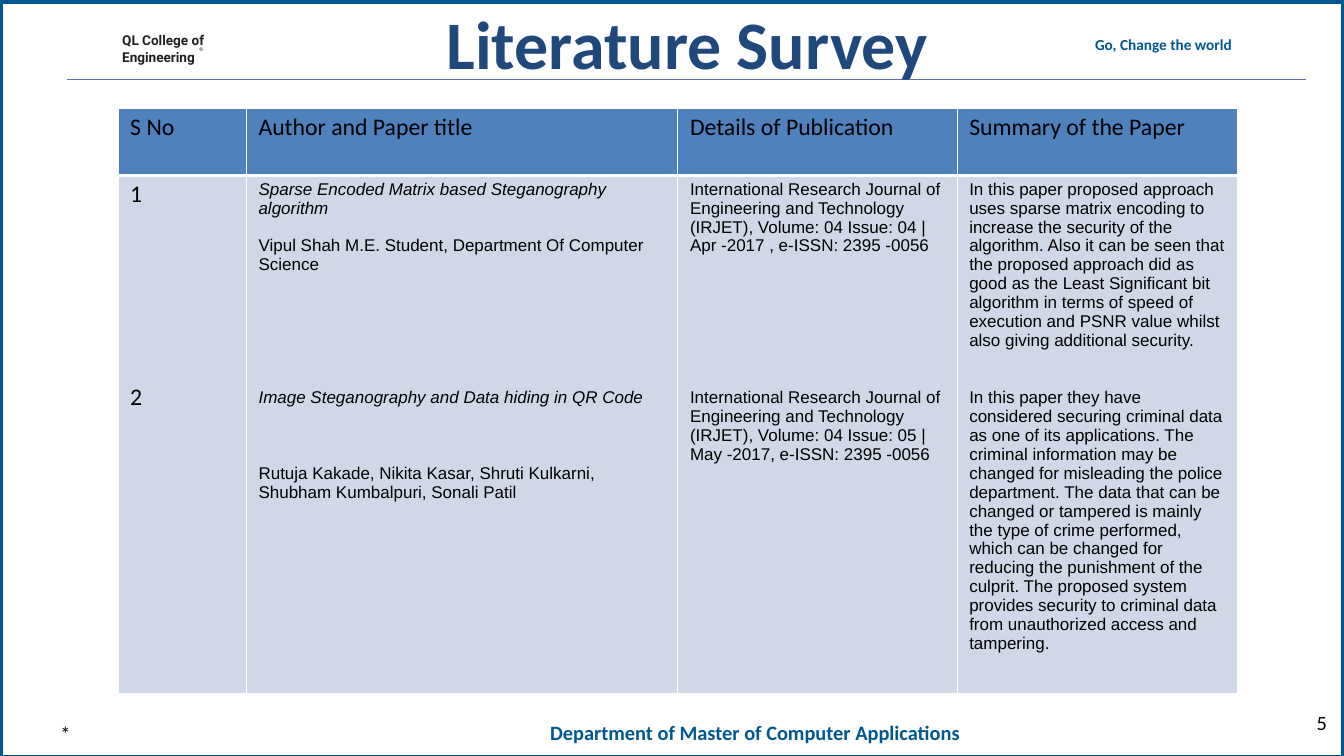
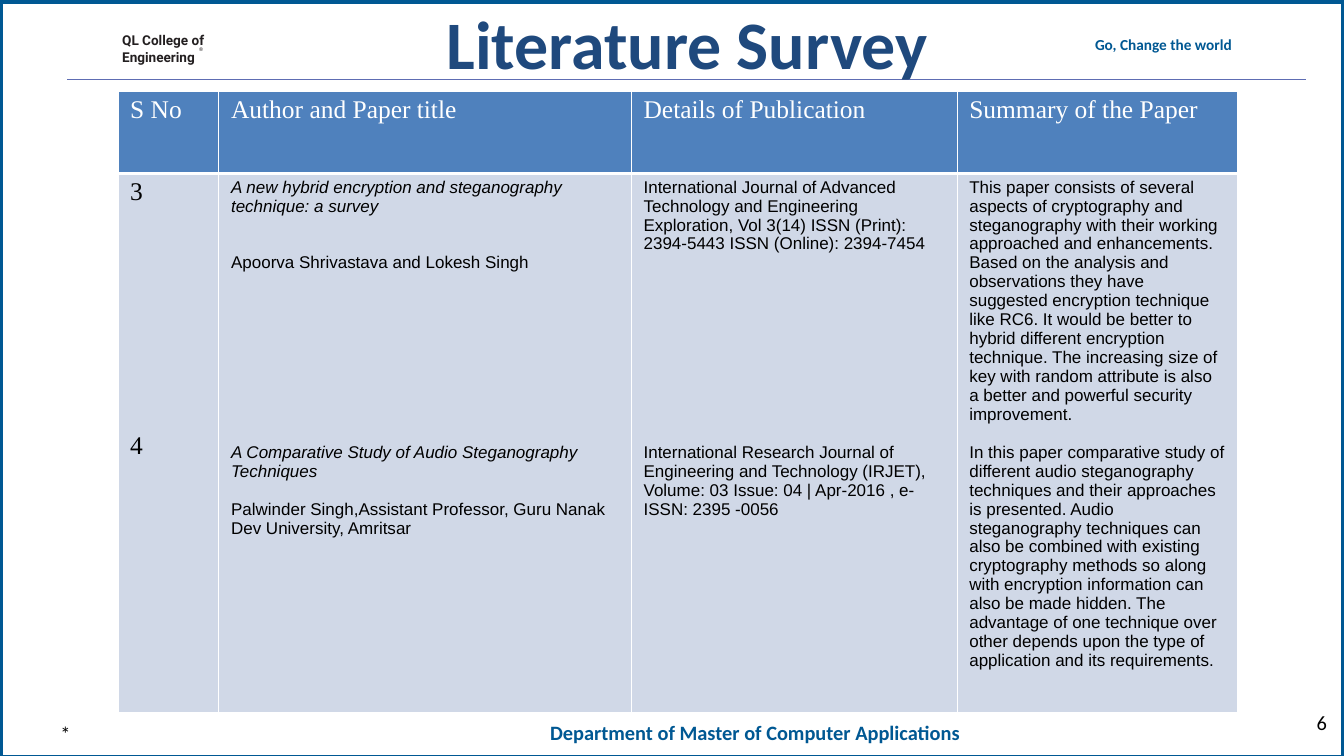
import pptx
import pptx.dml.color
import pptx.enum.shapes
import pptx.enum.text
import pptx.oxml
import pptx.oxml.ns
import pptx.util
import lxml.etree

Pt = pptx.util.Pt
ALIGN = pptx.enum.text.PP_ALIGN

WIDTH, HEIGHT = 1583.28, 890.64
BLUE, NAVY, INK = "005893", "1F497D", "231F20"
RULE, BLACK, WHITE = "5E6DB3", "000000", "FFFFFF"
HEADER_FILL, BODY_FILL = "4F81BD", "D0D8E7"
THIN, THICK = 0.96, 3
TABLE_LEFT, SUMMARY_WIDTH = 139, 329.76
BODY_FONT, BODY_SIZE = "Arial", 20
# Height of one line as a share of the font size
LINE_HEIGHT = {"Arial": 1.117, "Calibri": 1.22, "Times New Roman": 1.107}
HEADINGS = ["S No", "Author and Paper title", "Details of Publication",
            "Summary of the Paper"]


def rgb(value):
    return pptx.dml.color.RGBColor.from_string(value)


def set_font(paragraph, name, size, color, bold=False, italic=False):
    font = paragraph.font
    font.name, font.size = name, Pt(size)
    font.bold, font.italic = bold, italic
    font.color.rgb = rgb(color)


def set_borders(cell, top, bottom):
    """Draw white borders; top and bottom are widths in points."""
    properties = cell._tc.get_or_add_tcPr()
    sides = [("lnL", THIN), ("lnR", THIN), ("lnT", top), ("lnB", bottom)]
    for index, (side, width) in enumerate(sides):
        border = pptx.oxml.parse_xml(
            f'<a:{side} {pptx.oxml.ns.nsdecls("a")} w="{int(Pt(width))}">'
            f'<a:solidFill><a:srgbClr val="{WHITE}"/></a:solidFill></a:{side}>')
        properties.insert(index, border)


class Deck:
    """Holds the presentation, its style and the current slide."""

    def __init__(self):
        self.presentation = pptx.Presentation()
        self.presentation.slide_width = Pt(WIDTH)
        self.presentation.slide_height = Pt(HEIGHT)
        self.slide = None

    def text(self, left, top, width, height, lines, size, color=BLACK,
             font="Calibri", bold=False, align=ALIGN.LEFT, inset=0, spacing=None):
        box = self.slide.shapes.add_textbox(Pt(left), Pt(top), Pt(width), Pt(height))
        frame = box.text_frame
        frame.word_wrap = True
        frame.margin_left = frame.margin_right = frame.margin_bottom = 0
        frame.margin_top = Pt(inset)
        frame.text = lines
        for paragraph in frame.paragraphs:
            paragraph.alignment = align
            paragraph.line_spacing = spacing
            set_font(paragraph, font, size, color, bold)

    def border(self):
        shape = self.slide.shapes.add_shape(
            pptx.enum.shapes.MSO_SHAPE.RECTANGLE, 0, Pt(1.44), Pt(WIDTH), Pt(HEIGHT))
        shape.shadow.inherit = False
        shape.fill.solid()
        shape.fill.fore_color.rgb = rgb(WHITE)
        shape.line.color.rgb = rgb(BLUE)
        shape.line.width = Pt(6)

    def rule(self, left, right, y):
        line = self.slide.shapes.add_connector(
            pptx.enum.shapes.MSO_CONNECTOR.STRAIGHT, Pt(left), Pt(y), Pt(right), Pt(y))
        line.line.color.rgb = rgb(RULE)
        line.line.width = Pt(1.25)
        lxml.etree.SubElement(line._element.spPr, pptx.oxml.ns.qn("a:effectLst"))

    def new_slide(self, title, number):
        """Start a slide with the border, header and footer all slides share."""
        self.slide = self.presentation.slides.add_slide(
            self.presentation.slide_layouts[6])
        self.border()
        self.rule(79.2, 1538, 93.6)
        self.text(144, 34.6, 108, 39, "QL College of\nEngineering", 16, INK,
                  "Roboto", True, inset=1.4, spacing=1.06)
        self.text(234.5, 55, 12, 8, "®", 6, INK, "Roboto")
        self.text(1290, 40.3, 218, 23, "Go, Change the world", 18, BLUE,
                  bold=True, inset=1)
        self.text(648, 847.4, 546, 30, "Department of Master of Computer Applications",
                  24, BLUE, bold=True, inset=1)
        self.text(407.5, 1.44, 804.2, 97.2, title, 80, NAVY, bold=True,
                  align=ALIGN.CENTER)
        self.text(71.3, 849.6, 364.3, 29, "*", 24)
        self.text(1349.3, 836.6, 213.8, 29, str(number), 24, align=ALIGN.RIGHT)

    def cell(self, cell, entries, font, size, color, fill, top, bottom):
        """Fill a cell with entries of (blank lines before, text, italic)."""
        cell.margin_left = cell.margin_right = Pt(14.4)
        cell.margin_top = cell.margin_bottom = Pt(5)
        cell.fill.solid()
        cell.fill.fore_color.rgb = rgb(fill)
        set_borders(cell, top, bottom)
        cell.text = "\n".join(text for _, text, _ in entries)
        for paragraph, (gap, _, italic) in zip(cell.text_frame.paragraphs, entries):
            paragraph.space_before = Pt(round(gap * size * LINE_HEIGHT[font], 2))
            set_font(paragraph, font, size, color, italic=italic)

    def survey_table(self, top, widths, heights, font, size, heading_color, columns):
        widths = widths + [SUMMARY_WIDTH]
        table = self.slide.shapes.add_table(
            2, len(widths), Pt(TABLE_LEFT), Pt(top), Pt(sum(widths)),
            Pt(sum(heights))).table
        table.first_row = table.horz_banding = False
        for row, height in zip(table.rows, heights):
            row.height = Pt(height)
        for index, (width, heading, entries) in enumerate(
                zip(widths, HEADINGS, columns)):
            table.columns[index].width = Pt(width)
            self.cell(table.cell(0, index), [(0, heading, False)], font, size,
                      heading_color, HEADER_FILL, THIN, THICK)
            body = (font, size) if index == 0 else (BODY_FONT, BODY_SIZE)
            self.cell(table.cell(1, index), entries, *body, BLACK, BODY_FILL,
                      THICK, THIN)


def main():
    deck = Deck()

    deck.new_slide("Literature Survey", 5)
    deck.survey_table(127.6, [151.2, 508.3, 329], [79.2, 610.6], "Calibri", 28, BLACK, [
        [(0, "1", False), (6, "2", False)],
        [(0, "Sparse Encoded Matrix based Steganography algorithm", True),
         (1, "Vipul Shah M.E. Student, Department Of Computer Science", False),
         (6, "Image Steganography and Data hiding in QR Code", True),
         (3, "Rutuja Kakade, Nikita Kasar, Shruti Kulkarni, Shubham Kumbalpuri, "
             "Sonali Patil", False)],
        [(0, "International Research Journal of Engineering and Technology (IRJET), "
             "Volume: 04 Issue: 04 | Apr -2017 , e-ISSN: 2395 -0056", False),
         (7, "International Research Journal of Engineering and Technology (IRJET), "
             "Volume: 04 Issue: 05 | May -2017, e-ISSN: 2395 -0056", False)],
        [(0, "In this paper proposed approach uses sparse matrix encoding to increase "
             "the security of the algorithm. Also it can be seen that the proposed "
             "approach did as good as the Least Significant bit algorithm in terms of "
             "speed of execution and PSNR value whilst also giving additional "
             "security.", False),
         (2, "In this paper they have considered securing criminal data as one of its "
             "applications. The criminal information may be changed for misleading the "
             "police department. The data that can be changed or tampered is mainly "
             "the type of crime performed, which can be changed for reducing the "
             "punishment of the culprit. The proposed system provides security to "
             "criminal data from unauthorized access and tampering.", False)],
    ])

    deck.new_slide("Literature Survey", 6)
    deck.survey_table(108, [118.8, 486, 383.7], [96.5, 634.3], "Times New Roman", 30, WHITE, [
        [(0, "3", False), (8, "4", False)],
        [(0, "A new hybrid encryption and steganography technique: a survey", True),
         (2, "Apoorva Shrivastava and Lokesh Singh", False),
         (9, "A Comparative Study of Audio Steganography Techniques", True),
         (1, "Palwinder Singh,Assistant Professor, Guru Nanak Dev University, "
             "Amritsar", False)],
        [(0, "International Journal of Advanced Technology and Engineering "
             "Exploration, Vol 3(14) ISSN (Print): 2394-5443 ISSN (Online): "
             "2394-7454", False),
         (10, "International Research Journal of Engineering and Technology (IRJET), "
              "Volume: 03 Issue: 04 | Apr-2016 , e-ISSN: 2395 -0056", False)],
        [(0, "This paper consists of several aspects of cryptography and steganography "
             "with their working approached and enhancements. Based on the analysis "
             "and observations they have suggested encryption technique like RC6. It "
             "would be better to hybrid different encryption technique. The increasing "
             "size of key with random attribute is also a better and powerful security "
             "improvement.", False),
         (1, "In this paper comparative study of different audio steganography "
             "techniques and their approaches is presented. Audio steganography "
             "techniques can also be combined with existing cryptography methods so "
             "along with encryption information can also be made hidden. The advantage "
             "of one technique over other depends upon the type of application and its "
             "requirements.", False)],
    ])

    deck.presentation.save("out.pptx")


if __name__ == "__main__":
    main()
